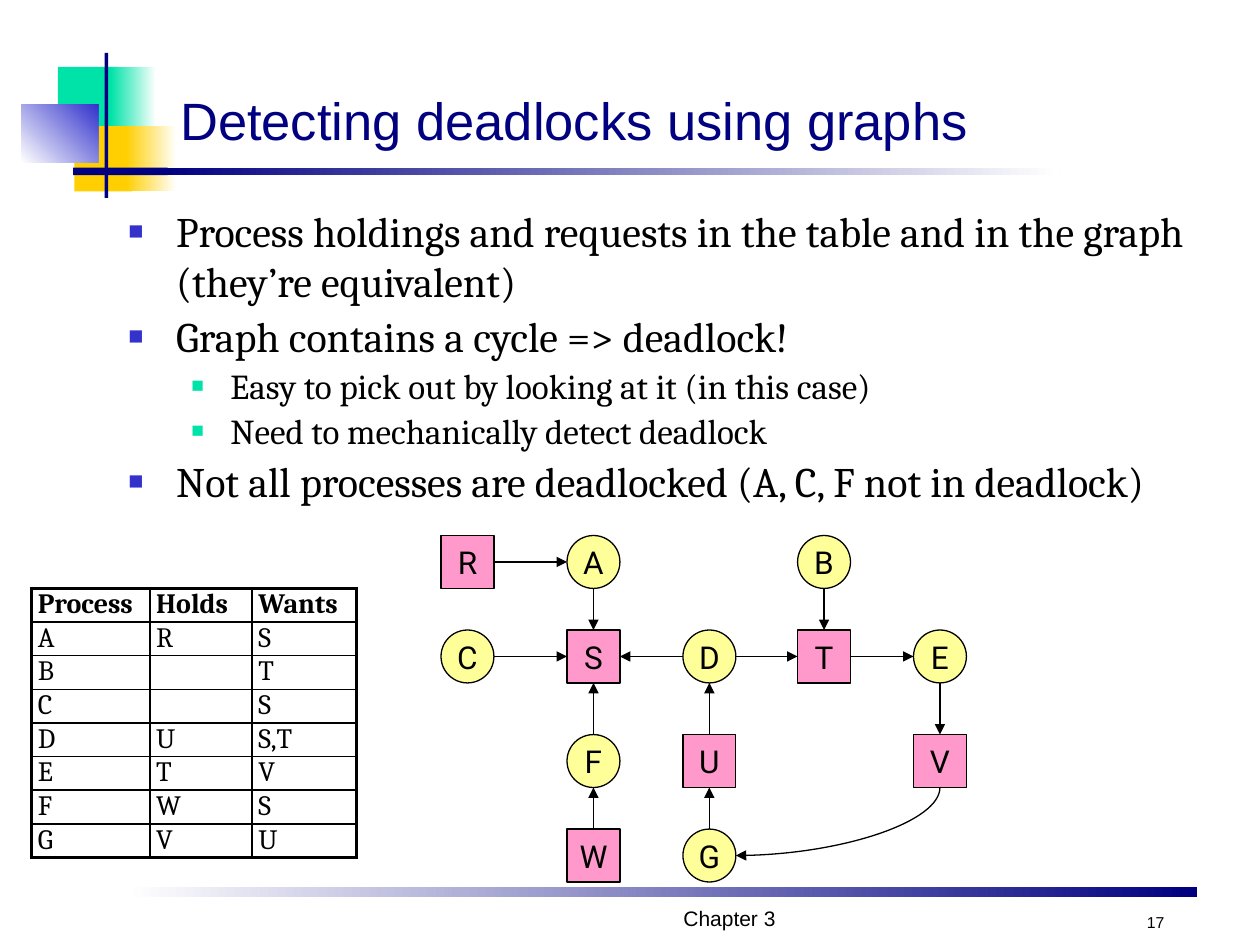
from lxml import etree
from pptx import Presentation
from pptx.dml.color import RGBColor
from pptx.enum.shapes import MSO_CONNECTOR, MSO_SHAPE
from pptx.enum.text import MSO_ANCHOR, MSO_AUTO_SIZE, PP_ALIGN
from pptx.oxml.ns import qn
from pptx.util import Inches, Pt

RECT, OVAL = MSO_SHAPE.RECTANGLE, MSO_SHAPE.OVAL
STRAIGHT, CURVE = MSO_CONNECTOR.STRAIGHT, MSO_CONNECTOR.CURVE
LEFT, CENTER, RIGHT = PP_ALIGN.LEFT, PP_ALIGN.CENTER, PP_ALIGN.RIGHT
BOTTOM, MIDDLE = MSO_ANCHOR.BOTTOM, MSO_ANCHOR.MIDDLE

BLACK, WHITE, NAVY, BLUE = "000000", "FFFFFF", "000080", "3333CC"
GREEN, GOLD, PINK, YELLOW = "00E3A8", "FFCF01", "FF99CC", "FFFF99"

# Content
TITLE = "Detecting deadlocks using graphs"
BULLETS = [
    (0, "Process holdings and requests in the table and in the graph (they’re equivalent)"),
    (0, "Graph contains a cycle => deadlock!"),
    (1, "Easy to pick out by looking at it (in this case)"),
    (1, "Need to mechanically detect deadlock"),
    (0, "Not all processes are deadlocked (A, C, F not in deadlock)"),
]
# Per level: text indent, hanging indent, size, bullet colour
LEVELS = [(0.38, 0.38, 24, BLUE), (0.81, 0.31, 20, GREEN)]
HOLDINGS = [
    ("Process", "Holds", "Wants"),
    ("A", "R", "S"),
    ("B", "", "T"),
    ("C", "", "S"),
    ("D", "U", "S,T"),
    ("E", "T", "V"),
    ("F", "W", "S"),
    ("G", "V", "U"),
]
# Graph rows, one letter per column; processes are circles, resources squares
GRAPH = ["RA B ", "CSDTE", " FU V", " WG  "]
PROCESSES = "ABCDEFG"
EDGES = ["RA", "AS", "CS", "FS", "WF", "DS", "DT", "TE", "EV", "BT", "GU", "UD"]
CURVED_EDGE = "VG"
FOOTERS = [  # text, left, width, size, alignment
    ("Chapter 3", 2.83, 5.92, 12, CENTER),
    ("17", 8.92, 0.42, 9, RIGHT),
]
# Decoration: left, top, width, height, colours (two make a gradient), angle
DECOR = [
    (1, 7.04, 8.5, 0.08, (WHITE, NAVY), 0),
    (0.46, 0.53, 0.48, 0.52, (GREEN,), 0),
    (0.88, 0.53, 0.36, 0.52, (GREEN, WHITE), 0),
    (0.59, 1, 0.46, 0.52, (GOLD,), 0),
    (1, 1, 0.4, 0.52, (GOLD, WHITE), 0),
    (0.17, 0.83, 0.61, 0.46, (WHITE, BLUE), 45),
    (0.83, 0.42, 0.03, 1.15, (NAVY,), 0),
    (0.58, 1.33, 0.75, 0.06, (NAVY,), 0),
    (1.25, 1.33, 7.16, 0.06, (NAVY, WHITE), 0),
]

# Layout
COLUMN_X = [3.5, 4.5, 5.42, 6.33, 7.25]
ROW_Y = [4.25, 5, 5.83, 6.58]
NODE = 0.42
TABLE_COLUMNS = [0.94, 0.81, 0.83]
TABLE_ROW = 0.23


def rgb(value):
    return RGBColor.from_string(value)


def set_font(paragraph, face, size, color=BLACK, bold=False):
    font = paragraph.font
    font.name, font.size, font.bold = face, Pt(size), bold
    font.color.rgb = rgb(color)


def add_child(parent, tag, **attributes):
    child = etree.SubElement(parent, qn(tag))
    for key, value in attributes.items():
        child.set(key, str(value))
    return child


def add_block(shapes, kind, left, top, width, height, colors, angle=0):
    block = shapes.add_shape(kind, *map(Inches, (left, top, width, height)))
    block.shadow.inherit = False
    block.line.fill.background()
    if len(colors) == 1:
        block.fill.solid()
        block.fill.fore_color.rgb = rgb(colors[0])
    else:
        block.fill.gradient()
        block.fill.gradient_angle = angle
        for stop, color in zip(block.fill.gradient_stops, colors):
            stop.color.rgb = rgb(color)
    return block


def add_bullets(shapes):
    frame = shapes.add_textbox(*map(Inches, (0.92, 1.58, 8.88, 2.62))).text_frame
    frame.word_wrap = True
    for index, (level, text) in enumerate(BULLETS):
        indent, hanging, size, color = LEVELS[level]
        paragraph = frame.add_paragraph() if index else frame.paragraphs[0]
        paragraph.text, paragraph.level = text, level
        paragraph.space_before = Pt(size * 0.1)
        props = paragraph._p.get_or_add_pPr()
        props.set("marL", str(Inches(indent)))
        props.set("indent", str(-Inches(hanging)))
        add_child(add_child(props, "a:buClr"), "a:srgbClr", val=color)
        add_child(props, "a:buSzPct", val=60000)
        add_child(props, "a:buFont", typeface="Arial")
        add_child(props, "a:buChar", char="■")
        set_font(paragraph, "Cambria", size)


def add_holdings(shapes):
    rows, columns = len(HOLDINGS), len(TABLE_COLUMNS)
    table = shapes.add_table(rows, columns, Inches(0.25), Inches(4.67),
                             Inches(sum(TABLE_COLUMNS)), Inches(rows * TABLE_ROW)).table
    table.first_row = table.horz_banding = False
    for column, width in zip(table.columns, TABLE_COLUMNS):
        column.width = Inches(width)
    for r, values in enumerate(HOLDINGS):
        table.rows[r].height = Inches(TABLE_ROW)
        for c, text in enumerate(values):
            cell = table.cell(r, c)
            cell.text = text
            cell.margin_left = cell.margin_right = Inches(0.05)
            cell.margin_top = cell.margin_bottom = 0
            set_font(cell.text_frame.paragraphs[0], "Cambria", 16, bold=r == 0)
            outer = {"L": c == 0, "R": c == columns - 1, "T": r == 0, "B": r == rows - 1}
            props = cell._tc.get_or_add_tcPr()
            for side, is_outer in outer.items():
                border = add_child(props, f"a:ln{side}", w=Pt(2.25 if is_outer else 1))
                add_child(add_child(border, "a:solidFill"), "a:srgbClr", val=BLACK)
            cell.fill.background()


def add_node(shapes, letter, left, top):
    is_process = letter in PROCESSES
    node = add_block(shapes, OVAL if is_process else RECT, left, top, NODE, NODE,
                     (YELLOW if is_process else PINK,))
    node.line.color.rgb = rgb(BLACK)
    node.line.width = Pt(0.75)
    frame = node.text_frame
    frame.word_wrap, frame.vertical_anchor = False, MIDDLE
    paragraph = frame.paragraphs[0]
    paragraph.text, paragraph.alignment = letter, CENTER
    set_font(paragraph, "Roboto", 18)


def add_arrow(shapes, kind, *ends):
    arrow = shapes.add_connector(kind, *map(Inches, ends))
    arrow.line.color.rgb = rgb(BLACK)
    arrow.line.width = Pt(0.75)
    props = arrow._element.spPr
    add_child(props.find(qn("a:ln")), "a:tailEnd", type="triangle")
    add_child(props, "a:effectLst")
    return props


def add_graph(shapes):
    centers = {}
    for top, letters in zip(ROW_Y, GRAPH):
        for left, letter in zip(COLUMN_X, letters):
            if letter != " ":
                add_node(shapes, letter, left, top)
                centers[letter] = (left + NODE / 2, top + NODE / 2)

    # Straight arrows run from rim to rim
    for start, end in EDGES:
        (x1, y1), (x2, y2) = centers[start], centers[end]
        dx = NODE / 2 * ((x2 > x1) - (x2 < x1))
        dy = NODE / 2 * ((y2 > y1) - (y2 < y1))
        add_arrow(shapes, STRAIGHT, x1 + dx, y1 + dy, x2 - dx, y2 - dy)

    # Quarter curve: leaves downwards, arrives leftwards, so its box is turned 90°
    (x1, y1), (x2, y2) = (centers[letter] for letter in CURVED_EDGE)
    y1, x2 = y1 + NODE / 2, x2 + NODE / 2
    mid_x, mid_y = (x1 + x2) / 2, (y1 + y2) / 2
    half_w, half_h = (y2 - y1) / 2, (x1 - x2) / 2
    props = add_arrow(shapes, CURVE, mid_x - half_w, mid_y - half_h,
                      mid_x + half_w, mid_y + half_h)
    props.find(qn("a:xfrm")).set("rot", "5400000")
    props.find(qn("a:prstGeom")).set("prst", "curvedConnector2")


def main():
    deck = Presentation()
    deck.slide_width, deck.slide_height = Inches(10), Inches(7.5)
    slide = deck.slides.add_slide(deck.slide_layouts[5])
    shapes = slide.shapes

    for left, top, width, height, colors, angle in DECOR:
        add_block(shapes, RECT, left, top, width, height, colors, angle)

    # Title
    title = shapes.title
    title.left, title.top, title.width, title.height = map(Inches, (1.33, 0.58, 8.5, 0.67))
    title.text_frame.text = TITLE
    title.text_frame.auto_size = MSO_AUTO_SIZE.NONE
    title.text_frame.vertical_anchor = BOTTOM
    heading = title.text_frame.paragraphs[0]
    heading.alignment = LEFT
    set_font(heading, "Arial", 30, NAVY)

    # Footers
    for text, left, width, size, alignment in FOOTERS:
        frame = shapes.add_textbox(*map(Inches, (left, 7.17, width, 0.27))).text_frame
        frame.word_wrap, frame.vertical_anchor = True, BOTTOM
        paragraph = frame.paragraphs[0]
        paragraph.text, paragraph.alignment = text, alignment
        set_font(paragraph, "Arial", size)

    add_bullets(shapes)
    add_holdings(shapes)
    add_graph(shapes)
    deck.save("out.pptx")


if __name__ == "__main__":
    main()
